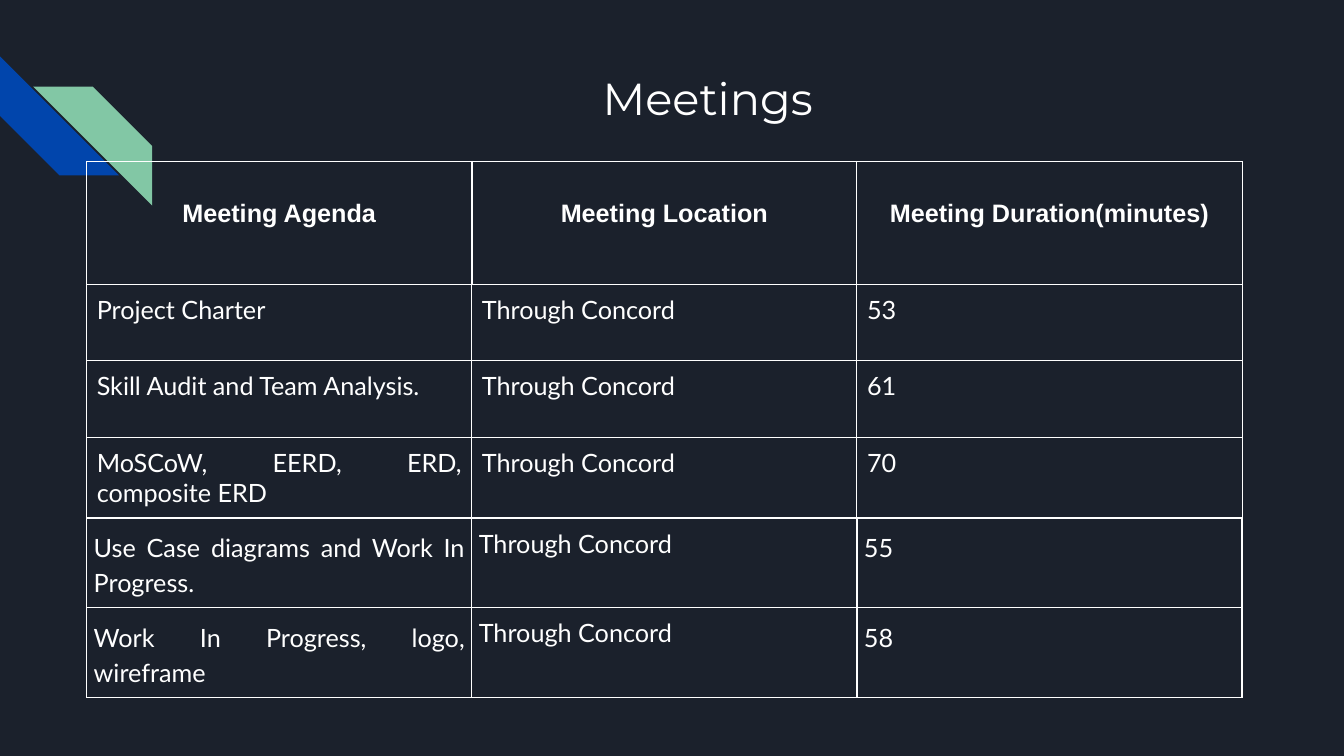
"""Build the meetings slide: a title, two corner stripes and a table."""
from lxml import etree
from pptx import Presentation, util as u
from pptx.dml.color import RGBColor
from pptx.enum import shapes, text
from pptx.oxml import ns

WIDE, HIGH = 13.33, 7.5
WHITE = "FFFFFF"
COL = 3.82
ROWS = [1.22, 0.76, 0.76, 0.8, 0.89, 0.89]
HEAD = ["Meeting Agenda", "Meeting Location", "Meeting Duration(minutes)"]
PLACE = "Through Concord"
MEETS = [
    ("Project Charter", "53"),
    ("Skill Audit and Team Analysis.", "61"),
    ("MoSCoW, EERD, ERD, composite ERD", "70"),
    ("Use Case diagrams and Work In Progress.", "55"),
    ("Work In Progress, logo, wireframe", "58"),
]
LOOSE = 4


def paint(fill, tone):
    """Fill with one solid colour given as a hex string."""
    fill.solid()
    fill.fore_color.rgb = RGBColor.from_string(tone)


def write(frame, words, face, size, align, bold=False):
    """Put one styled paragraph into a text frame."""
    para = frame.paragraphs[0]
    para.text = words
    para.alignment = align
    font = para.font
    font.name, font.size, font.bold = face, u.Pt(size), bold
    paint(font.fill, WHITE)
    return para


def stripe(slide, left, top, tone, turn=0, flip=False):
    """Draw a diagonal stripe, turned or mirrored."""
    band = slide.shapes.add_shape(
        shapes.MSO_SHAPE.DIAGONAL_STRIPE,
        u.Inches(left), u.Inches(top), u.Inches(1.18), u.Inches(1.18))
    band.shadow.inherit = False
    band.line.fill.background()
    paint(band.fill, tone)
    band.rotation = turn
    if flip:
        band.element.spPr.xfrm.set("flipH", "1")


def title(slide, words):
    """Add the centred slide title."""
    box = slide.shapes.add_textbox(
        u.Inches(1.89), u.Inches(0.57), u.Inches(10.26), u.Inches(1.33))
    frame = box.text_frame
    frame.word_wrap = True
    frame.margin_left = frame.margin_right = u.Inches(0.13)
    frame.margin_top = frame.margin_bottom = u.Inches(0.13)
    write(frame, words, "Montserrat", 32, text.PP_ALIGN.CENTER)


def border(cell, widths):
    """Line the left, right, top and bottom of a cell, in points."""
    props = cell._tc.get_or_add_tcPr()
    for side, width in zip("LRTB", widths):
        line = etree.SubElement(
            props, ns.qn(f"a:ln{side}"), w=str(u.Pt(width)))
        fill = etree.SubElement(line, ns.qn("a:solidFill"))
        etree.SubElement(fill, ns.qn("a:srgbClr"), val=WHITE)
    cell.fill.background()


def entry(cell, words, row, col):
    """Fill one table cell by its place in the grid."""
    head, loose = row == 0, row >= LOOSE
    base = 1 if loose else 0.75
    left = 1.5 if head and col == 1 else base
    right = 1.5 if head and col == 0 else base
    low = 1 if row >= LOOSE - 1 else base
    border(cell, (left, right, base, low))
    cell.margin_left = cell.margin_right = u.Inches(0.07 if loose else 0.1)
    cell.margin_top = u.Inches(0.38 if head else 0.1)
    cell.margin_bottom = u.Inches(0.1)
    align = text.PP_ALIGN.CENTER if head else text.PP_ALIGN.JUSTIFY
    para = write(cell.text_frame, words, "Arial" if head else "Lato",
                 18, align, head)
    if loose and col != 1:
        para.line_spacing = 1.15


def grid(slide, data):
    """Add the table of meetings."""
    table = slide.shapes.add_table(
        len(data), len(HEAD), u.Inches(0.86), u.Inches(1.6),
        u.Inches(COL * len(HEAD)), u.Inches(sum(ROWS))).table
    table.first_row = table.horz_banding = False
    for col in table.columns:
        col.width = u.Inches(COL)
    for row, (high, line) in enumerate(zip(ROWS, data)):
        table.rows[row].height = u.Inches(high)
        for col, words in enumerate(line):
            entry(table.cell(row, col), words, row, col)


def main():
    """Build and save the slide."""
    deck = Presentation()
    deck.slide_width, deck.slide_height = u.Inches(WIDE), u.Inches(HIGH)
    slide = deck.slides.add_slide(deck.slide_layouts[6])
    paint(slide.background.fill, "1B212C")
    stripe(slide, 0, 0.56, "0145AC", turn=270)
    stripe(slide, 0.33, 0.86, "82C7A5", flip=True)
    title(slide, "Meetings")
    grid(slide, [HEAD] + [(topic, PLACE, time) for topic, time in MEETS])
    deck.save("out.pptx")


if __name__ == "__main__":
    main()
